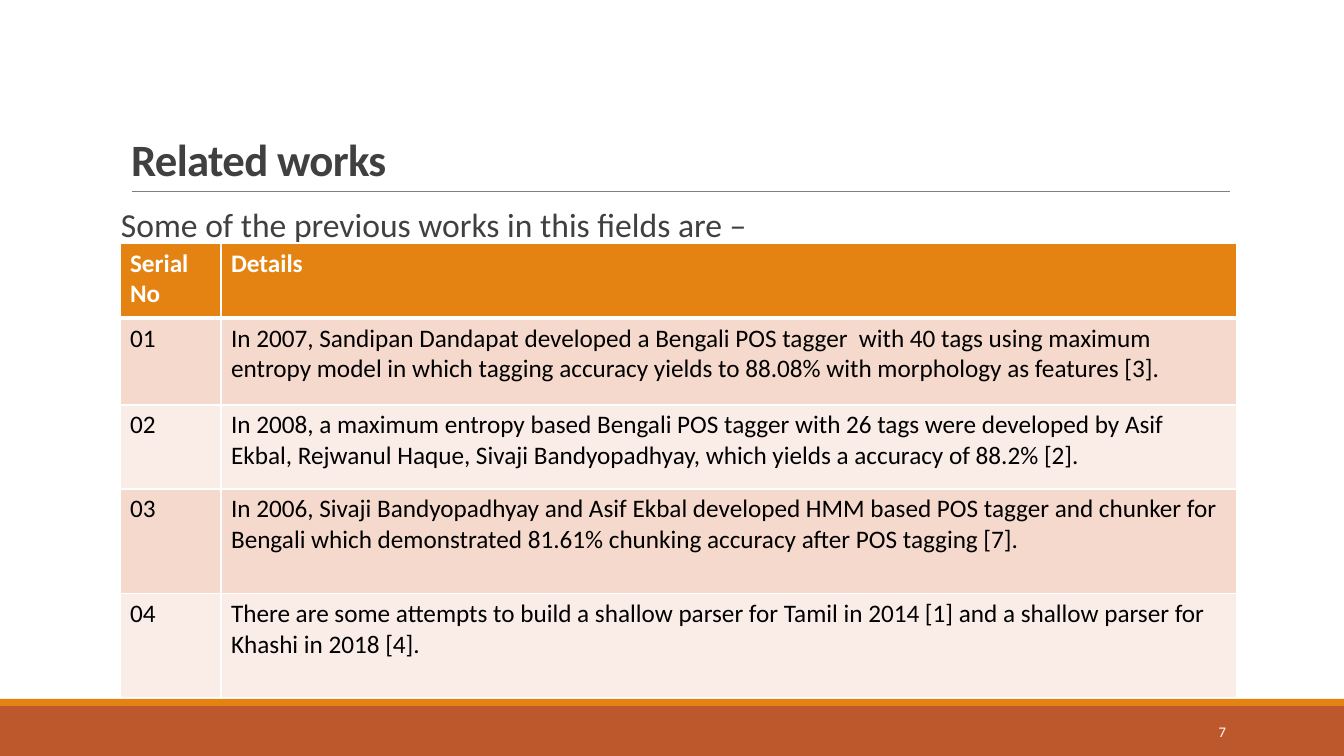
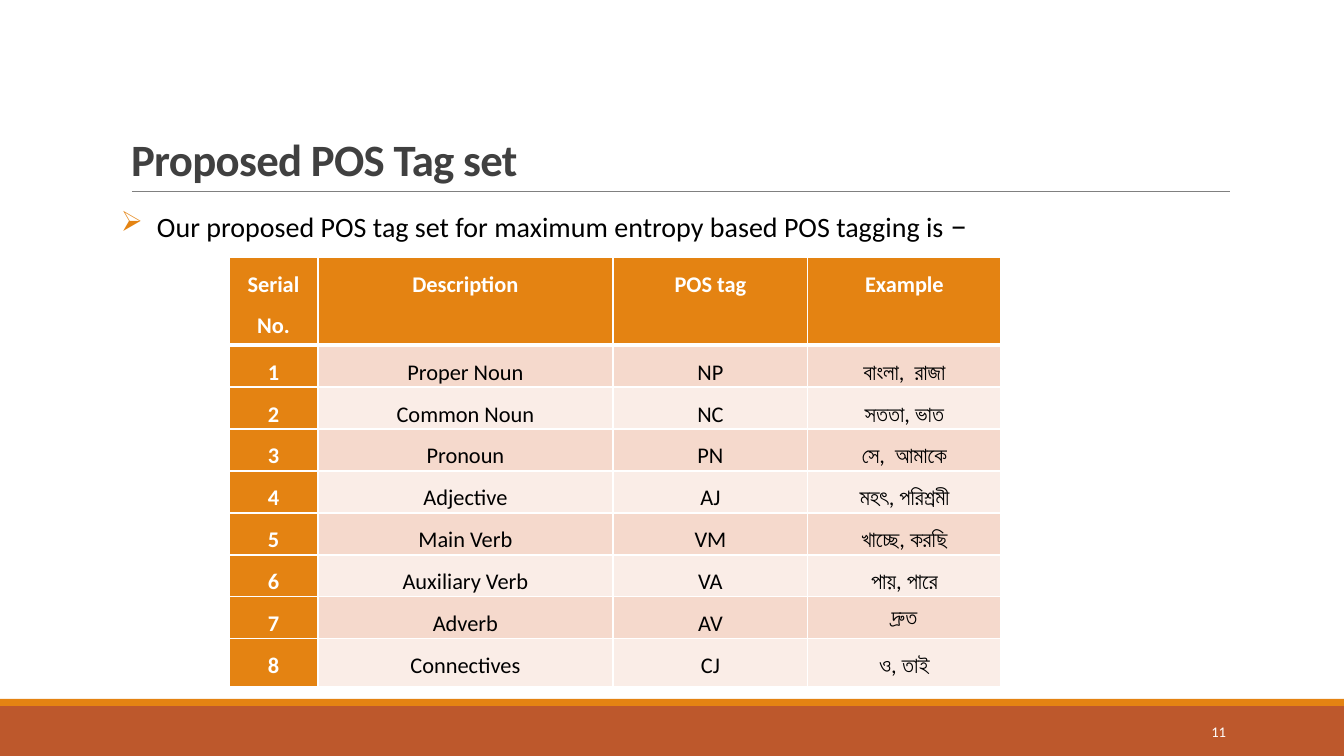
"""Build two slides on Bengali POS tagging, each with a title, a lead line and a table."""
from lxml import etree
from pptx import Presentation
from pptx import util as u
from pptx.dml.color import RGBColor
from pptx.enum import shapes, text
from pptx.oxml import ns

EMU_PER_PX = 914400 / 100.8
FONT = "Calibri"
ORANGE, RUST, GRAY, RULE = "E48312", "BD582C", "404040", "808080"
WHITE, BLACK = "FFFFFF", "000000"
STRIPES = ("F5D9CC", "FAEDE7")
BANDS = [((0, 706, 1344, 50), RUST), ((0, 699, 1344, 7), ORANGE)]
TITLE_BOX = (121, 31, 1109, 160)
LEAD_BOX = (121, 204, 1109, 443)
NUMBER_BOX = (1092, 712, 144, 40)
TITLE_RULE = (132, 191, 1230, 191)
BULLET_INDENT = 36

SLIDES = [
    {
        "title": "Related works",
        "number": "7",
        "lead": [("Some of the previous works in this fields are –", 24)],
        "lead_color": GRAY,
        "bullet": None,
        "table": {
            "origin": (120, 243),
            "columns": [101, 1016],
            "rows": [75, 87, 84, 105, 104],
            "size": 18,
            "label_column": False,
            "cell": {},
            "paragraph": {},
            "values": [
                ("Serial No", "Details"),
                ("01", "In 2007, Sandipan Dandapat developed a Bengali POS tagger  with 40 tags "
                       "using maximum entropy model in which tagging accuracy yields to 88.08% "
                       "with morphology as features [3]."),
                ("02", "In 2008, a maximum entropy based Bengali POS tagger with 26 tags were "
                       "developed by Asif Ekbal, Rejwanul Haque, Sivaji Bandyopadhyay, which "
                       "yields a accuracy of 88.2% [2]."),
                ("03", "In 2006, Sivaji Bandyopadhyay and Asif Ekbal developed HMM based POS "
                       "tagger and chunker for Bengali which demonstrated 81.61% chunking "
                       "accuracy after POS tagging [7]."),
                ("04", "There are some attempts to build a shallow parser for Tamil in 2014 [1] "
                       "and a shallow parser for Khashi in 2018 [4]."),
            ],
        },
    },
    {
        "title": "Proposed POS Tag set",
        "number": "11",
        "lead": [("Our proposed POS tag set for maximum entropy based POS tagging is ", 20),
                 ("–", 24)],
        "lead_color": BLACK,
        "bullet": "➢",
        "table": {
            "origin": (229, 257),
            "columns": [89, 295, 195, 193],
            "rows": [88] + [42] * 7 + [48],
            "size": 16,
            "label_column": True,
            "cell": {"margin_left": u.Inches(0.07), "margin_right": u.Inches(0.07),
                     "margin_top": 0, "margin_bottom": 0},
            "paragraph": {"alignment": text.PP_ALIGN.CENTER, "line_spacing": 1.5,
                          "space_after": u.Pt(10)},
            "values": [
                ("Serial No.", "Description", "POS tag", "Example"),
                ("1", "Proper Noun", "NP", "বাংলা,  রাজা"),
                ("2", "Common Noun", "NC", "সততা, ভাত"),
                ("3", "Pronoun", "PN", "সে,  আমাকে"),
                ("4", "Adjective", "AJ", "মহৎ, পরিশ্রমী"),
                ("5", "Main Verb", "VM", "খাচ্ছে, করছি"),
                ("6", "Auxiliary Verb", "VA", "পায়, পারে"),
                ("7", "Adverb", "AV", "দ্রুত"),
                ("8", "Connectives", "CJ", "ও, তাই"),
            ],
        },
    },
]


def px(*lengths):
    return [u.Emu(round(length * EMU_PER_PX)) for length in lengths]


def color(value):
    return RGBColor.from_string(value)


def assign(target, values):
    for name, value in values.items():
        setattr(target, name, value)


def child(parent, tag, **attributes):
    return etree.SubElement(parent, ns.qn(tag), attributes)


def add_run(paragraph, words, size, ink, bold=False):
    run = paragraph.add_run()
    run.text = words
    assign(run.font, {"name": FONT, "size": u.Pt(size), "bold": bold})
    run.font.color.rgb = color(ink)
    return run


def add_frame(slide, box, **values):
    frame = slide.shapes.add_textbox(*px(*box)).text_frame
    assign(frame, {"word_wrap": True, **values})
    return frame


def add_background(slide):
    for box, fill in BANDS:
        band = slide.shapes.add_shape(shapes.MSO_SHAPE.RECTANGLE, *px(*box))
        band.shadow.inherit = False
        band.fill.solid()
        band.fill.fore_color.rgb = color(fill)
        band.line.fill.background()
    rule = slide.shapes.add_connector(shapes.MSO_CONNECTOR.STRAIGHT, *px(*TITLE_RULE))
    rule.line.color.rgb = color(RULE)
    rule.line.width = u.Pt(0.5)
    child(rule._element.spPr, "a:effectLst")


def add_title(slide, words):
    title = slide.shapes.title
    assign(title, dict(zip(("left", "top", "width", "height"), px(*TITLE_BOX))))
    frame = title.text_frame
    assign(frame, {"vertical_anchor": text.MSO_ANCHOR.BOTTOM, "word_wrap": True,
                   "auto_size": text.MSO_AUTO_SIZE.NONE})
    paragraph = frame.paragraphs[0]
    assign(paragraph, {"alignment": text.PP_ALIGN.LEFT, "line_spacing": 0.85})
    run = add_run(paragraph, words, 32, GRAY, True)
    run.font._element.set("spc", "-50")


def add_lead(slide, runs, ink, bullet):
    paragraph = add_frame(slide, LEAD_BOX, margin_left=0, margin_right=0).paragraphs[0]
    assign(paragraph, {"line_spacing": 0.9, "space_after": u.Pt(2)})
    if bullet:
        indent = px(BULLET_INDENT)[0]
        properties = paragraph._p.get_or_add_pPr()
        properties.set("marL", str(indent))
        properties.set("indent", str(-indent))
        child(child(properties, "a:buClr"), "a:srgbClr", val=ORANGE)
        child(properties, "a:buSzPts", val="2400")
        child(properties, "a:buChar", char=bullet)
    for words, size in runs:
        add_run(paragraph, words, size, ink)


def add_number(slide, number):
    frame = add_frame(slide, NUMBER_BOX, vertical_anchor=text.MSO_ANCHOR.MIDDLE)
    frame.paragraphs[0].alignment = text.PP_ALIGN.RIGHT
    add_run(frame.paragraphs[0], number, 10.5, WHITE)


def set_borders(cell, row):
    properties = cell._tc.get_or_add_tcPr()
    widths = {"a:lnL": 1, "a:lnR": 1, "a:lnT": 3 if row == 1 else 1,
              "a:lnB": 3 if row == 0 else 1}
    for tag, width in widths.items():
        border = child(properties, tag, w=str(u.Pt(width)))
        child(child(border, "a:solidFill"), "a:srgbClr", val=WHITE)


def add_table(slide, content):
    columns, rows = content["columns"], content["rows"]
    box = px(*content["origin"], sum(columns), sum(rows))
    table = slide.shapes.add_table(len(rows), len(columns), *box).table
    for column, width in zip(table.columns, px(*columns)):
        column.width = width
    for row, height in zip(table.rows, px(*rows)):
        row.height = height
    for i, values in enumerate(content["values"]):
        for j, words in enumerate(values):
            heading = i == 0 or (j == 0 and content["label_column"])
            cell = table.cell(i, j)
            assign(cell, content["cell"])
            set_borders(cell, i)
            cell.fill.solid()
            cell.fill.fore_color.rgb = color(ORANGE if heading else STRIPES[(i - 1) % 2])
            paragraph = cell.text_frame.paragraphs[0]
            assign(paragraph, content["paragraph"])
            add_run(paragraph, words, content["size"], WHITE if heading else BLACK, heading)


def main():
    presentation = Presentation()
    presentation.slide_width, presentation.slide_height = px(1344, 756)
    for content in SLIDES:
        slide = presentation.slides.add_slide(presentation.slide_layouts[5])
        add_background(slide)
        add_title(slide, content["title"])
        add_lead(slide, content["lead"], content["lead_color"], content["bullet"])
        add_number(slide, content["number"])
        add_table(slide, content["table"])
    presentation.save("out.pptx")


if __name__ == "__main__":
    main()
